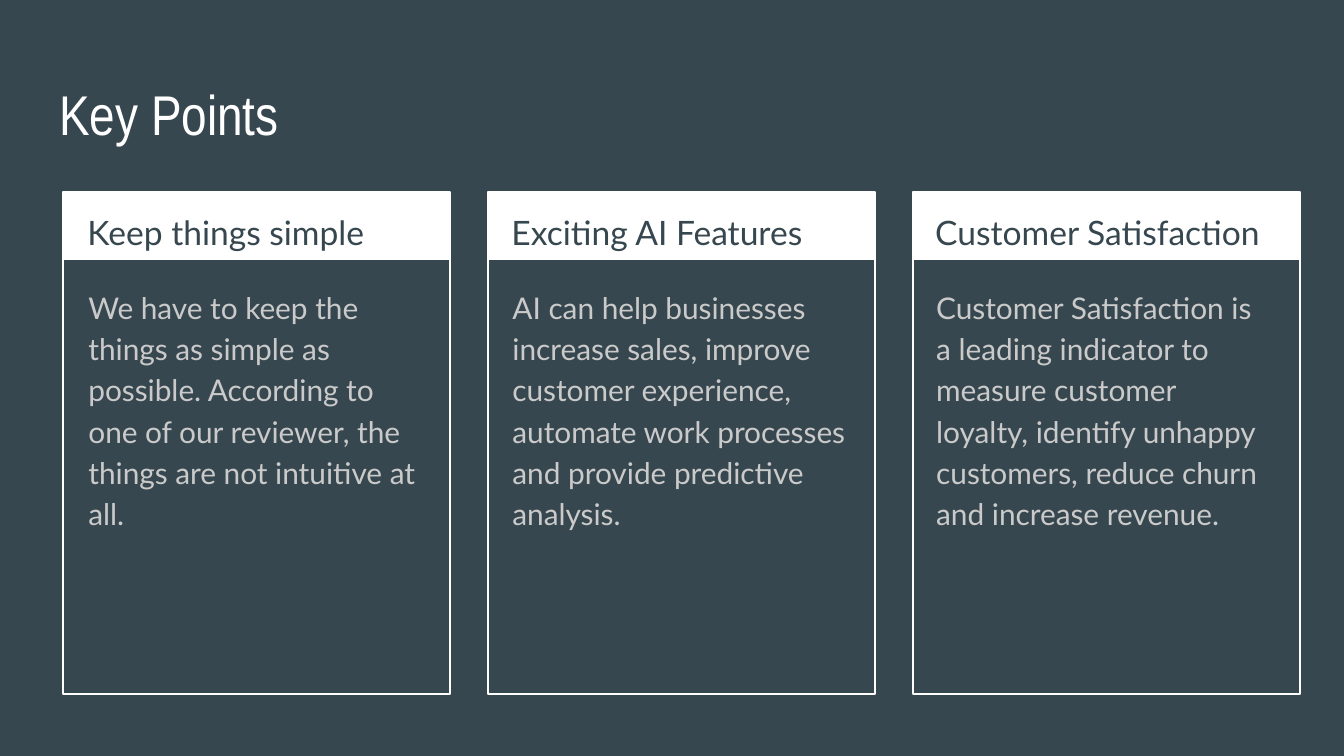
"""Build the Key Points slide: a title above three headed cards."""
from lxml import etree
from pptx import Presentation
from pptx import util as u
from pptx.dml import color
from pptx.enum import shapes, text
from pptx.oxml import ns

PX = 914400 / 134.4
SLATE, WHITE, GREY = "37474F", "FFFFFF", "CACACA"
TITLE = "Key Points"
POINTS = [
    ("Keep things simple",
     "We have to keep the things as simple as possible. According to one of our "
     "reviewer, the things are not intuitive at all."),
    ("Exciting AI Features",
     "AI can help businesses increase sales, improve customer experience, "
     "automate work processes and provide predictive analysis."),
    ("Customer Satisfaction",
     "Customer Satisfaction is a leading indicator to measure customer loyalty, "
     "identify unhappy customers, reduce churn and increase revenue."),
]
CARD_LEFT, CARD_PITCH, CARD_TOP, CARD_WIDTH = 63, 425, 192, 387
HEADER_HEIGHT, CARD_HEIGHT = 68, 502
HEADING_LEFT, DETAIL_LEFT, TEXT_PITCH = 74, 75, 424


def px(*lengths):
    return [u.Emu(round(length * PX)) for length in lengths]


def rgb(value):
    return color.RGBColor.from_string(value)


def add_box(group, left, height, fill=None):
    box = group.shapes.add_shape(
        shapes.MSO_SHAPE.RECTANGLE, *px(left, CARD_TOP, CARD_WIDTH, height))
    box.shadow.inherit = False
    if fill:
        box.fill.solid()
        box.fill.fore_color.rgb = rgb(fill)
        box.line.fill.background()
    else:
        box.fill.background()
        box.line.color.rgb = rgb(WHITE)
        box.line.width = u.Pt(0.75)


def write(holder, words, area, size, font, ink, spacing=1.0, after=0):
    holder.left, holder.top, holder.width, holder.height = px(*area)
    frame = holder.text_frame
    frame.text = words
    frame.word_wrap = True
    frame.auto_size = text.MSO_AUTO_SIZE.NONE
    frame.vertical_anchor = text.MSO_ANCHOR.TOP
    frame.margin_left = frame.margin_right = u.Inches(0.1)
    frame.margin_top = frame.margin_bottom = u.Inches(0.1)
    paragraph = frame.paragraphs[0]
    paragraph.alignment = text.PP_ALIGN.LEFT
    paragraph.line_spacing = spacing
    paragraph.space_before, paragraph.space_after = u.Pt(0), u.Pt(after)
    paragraph.font.size, paragraph.font.name = u.Pt(size), font
    paragraph.font.bold = False
    paragraph.font.color.rgb = rgb(ink)
    properties = paragraph._p.get_or_add_pPr()
    properties.set("marL", "0")
    properties.set("indent", "0")
    bullet = etree.Element(ns.qn("a:buNone"))
    properties.insert_element_before(bullet, "a:tabLst", "a:defRPr", "a:extLst")


def main():
    deck = Presentation()
    deck.slide_width, deck.slide_height = px(1344, 756)
    slide = deck.slides.add_slide(deck.slide_layouts.get_by_name("Comparison"))
    slide.background.fill.solid()
    slide.background.fill.fore_color.rgb = rgb(SLATE)
    title, *holders = slide.placeholders
    write(title, TITLE, (46, 66, 1252, 85), 30, "Arial Narrow", WHITE)

    for column, (heading, detail) in enumerate(POINTS):
        card = slide.shapes.add_group_shape()
        left = CARD_LEFT + column * CARD_PITCH
        add_box(card, left, HEADER_HEIGHT, WHITE)
        add_box(card, left, CARD_HEIGHT)

        shift = column * TEXT_PITCH
        parts = [
            (heading, (HEADING_LEFT + shift, CARD_TOP, 367, 67), 18, SLATE, 0),
            (detail, (DETAIL_LEFT + shift, 271, 364, 411), 16, GREY, 16),
        ]
        for words, area, size, ink, after in parts:
            holder = holders.pop(0) if holders else slide.shapes.add_textbox(*px(*area))
            slide.shapes.element.append(holder.element)
            write(holder, words, area, size, "Lato", ink, 1.15, after)

    deck.save("out.pptx")


if __name__ == "__main__":
    main()
